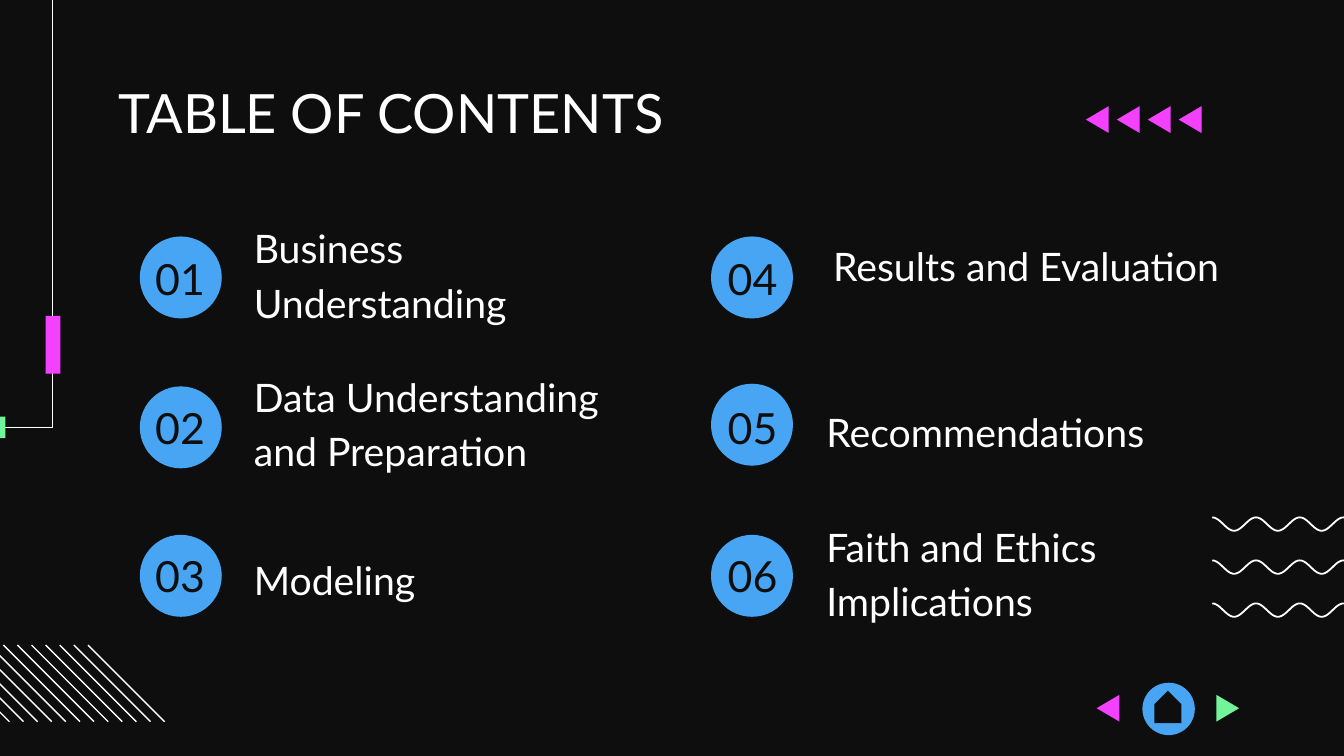
from dataclasses import dataclass
from math import cos, pi

from pptx import Presentation
from pptx.dml.color import RGBColor
from pptx.enum.shapes import MSO_SHAPE as Shape
from pptx.enum.text import MSO_ANCHOR as Anchor, MSO_AUTO_SIZE as AutoSize, PP_ALIGN as Align
from pptx.util import Inches, Pt


@dataclass(frozen=True)
class Theme:
    font: str = "Lato"
    dark: str = "0E0E0E"
    white: str = "FFFFFF"
    blue: str = "47A5F3"
    pink: str = "F341FF"
    green: str = "72F49A"
    title_size: float = 29
    number_size: float = 23
    topic_size: float = 21
    thin_line: float = 0.75
    wave_line: float = 0.95


THEME = Theme()
ARROW = (0.17, 0.2)

# Number, circle offset, topic, topic offset; offsets are from the entry's corner.
ENTRIES = [
    [("01", (0.15, 0.08), "Business Understanding", (0.9, -0.06)),
     ("02", (0.15, 0.09), "Data Understanding and Preparation", (0.9, -0.06)),
     ("03", (0.15, 0.09), "Modeling", (0.9, 0.2))],
    [("04", (0.14, 0.08), "Results and Evaluation", (0.95, 0.07)),
     ("05", (0.14, 0.07), "Recommendations", (0.9, 0.2)),
     ("06", (0.14, 0.09), "Faith and Ethics Implications", (0.9, -0.05))],
]


def color(value):
    return RGBColor.from_string(value)


def paint(shape, fill=None, line=None, width=THEME.thin_line):
    shape.shadow.inherit = False
    if fill:
        shape.fill.solid()
        shape.fill.fore_color.rgb = color(fill)
    else:
        shape.fill.background()
    if line:
        shape.line.color.rgb = color(line)
        shape.line.width = Pt(width)
    else:
        shape.line.fill.background()


def add_preset(slide, kind, left, top, width, height, fill):
    shape = slide.shapes.add_shape(kind, Inches(left), Inches(top), Inches(width), Inches(height))
    paint(shape, fill)
    return shape


def add_outline(slide, points, closed=False, **style):
    start, *rest = [(Inches(x), Inches(y)) for x, y in points]
    builder = slide.shapes.build_freeform(*start)
    builder.add_line_segments(rest, close=closed)
    paint(builder.convert_to_shape(), **style)


def write(shape, text, size, ink, top_inset=0.0, align=Align.LEFT):
    """Format the shape's text frame and write one paragraph in it."""
    frame = shape.text_frame
    frame.word_wrap = True
    frame.auto_size = AutoSize.NONE
    frame.vertical_anchor = Anchor.TOP
    frame.margin_left = frame.margin_right = frame.margin_bottom = Inches(0.1)
    frame.margin_top = Inches(top_inset)
    paragraph = frame.paragraphs[0]
    paragraph.alignment = align
    run = paragraph.add_run()
    run.text = text
    run.font.name = THEME.font
    run.font.size = Pt(size)
    run.font.color.rgb = color(ink)
    return paragraph


def add_text(slide, left, top, width, height, *content, **options):
    box = slide.shapes.add_textbox(Inches(left), Inches(top), Inches(width), Inches(height))
    return write(box, *content, **options)


def add_title(slide, left, top, width, height):
    title = slide.shapes.title
    title.left, title.top = Inches(left), Inches(top)
    title.width, title.height = Inches(width), Inches(height)
    write(title, "TABLE OF CONTENTS", THEME.title_size, THEME.white)


def add_arrow(slide, left, top, fill, points_left=True):
    width, height = ARROW
    base, tip = (left + width, left) if points_left else (left, left + width)
    add_outline(slide, [(base, top), (tip, top + height / 2), (base, top + height)],
                closed=True, fill=fill)


def add_arrow_row(slide, left, top, count=4, step=0.23):
    for index in range(count):
        add_arrow(slide, left + index * step, top, THEME.pink)


def add_waves(slide, left, top, width, height, count=3, gap=0.32, periods=3.5):
    samples = 84
    for row in range(count):
        middle = top + row * gap + height / 2
        points = [(left + width * i / samples,
                   middle - height / 2 * cos(2 * pi * periods * i / samples))
                  for i in range(samples + 1)]
        add_outline(slide, points, line=THEME.white, width=THEME.wave_line)


def add_hatching(slide, left, top, size, count=12, step=0.105):
    for index in range(count):
        x = left + index * step
        add_outline(slide, [(x, top), (x + size, top + size)], line=THEME.white)


def add_corner_frame(slide, left, top, width, height):
    right, bottom = left + width, top + height
    add_outline(slide, [(left, bottom), (right, bottom), (right, top)], line=THEME.white)
    add_preset(slide, Shape.RECTANGLE, right - 0.51, bottom - 0.08, 0.16, 0.16, THEME.green)
    add_preset(slide, Shape.RECTANGLE, right - 0.05, bottom - 0.83, 0.11, 0.43, THEME.pink)


def add_entry(slide, left, top, number, circle_offset, topic, topic_offset):
    circle_x, circle_y = circle_offset
    topic_x, topic_y = topic_offset
    add_preset(slide, Shape.OVAL, left + circle_x, top + circle_y, 0.61, 0.61, THEME.blue)
    add_text(slide, left, top, 0.9, 0.61, number, THEME.number_size, THEME.dark,
             top_inset=0.2, align=Align.CENTER)
    paragraph = add_text(slide, left + topic_x, top + topic_y, 3.16, 0.39,
                         topic, THEME.topic_size, THEME.white)
    paragraph.line_spacing = 1.15
    paragraph.space_after = Pt(12)


def add_contents(slide, left, top, column_step=4.26, row_step=1.105):
    for column, entries in enumerate(ENTRIES):
        for row, entry in enumerate(entries):
            add_entry(slide, left + column * column_step, top + row * row_step, *entry)


def add_navigation(slide, left, top):
    add_arrow(slide, left, top + 0.09, THEME.pink)
    add_preset(slide, Shape.OVAL, left + 0.34, top, 0.39, 0.39, THEME.blue)
    home = add_preset(slide, Shape.PENTAGON, left + 0.41, top + 0.08, 0.24, 0.2, THEME.dark)
    home.rotation = 270
    add_arrow(slide, left + 0.89, top + 0.09, THEME.green, points_left=False)


def main():
    presentation = Presentation()
    presentation.slide_width = Inches(10)
    presentation.slide_height = Inches(10 * 9 / 16)
    slide = presentation.slides.add_slide(presentation.slide_layouts[5])
    slide.background.fill.solid()
    slide.background.fill.fore_color.rgb = color(THEME.dark)

    add_waves(slide, 9.02, 3.85, 1.14, 0.1)
    add_hatching(slide, -0.5, 4.8, 0.57)
    add_corner_frame(slide, -3.93, -0.22, 4.32, 3.4)
    add_title(slide, 0.78, 0.59, 8.44, 0.46)
    add_contents(slide, 0.89, 1.68)
    add_arrow_row(slide, 8.08, 0.79)
    add_navigation(slide, 8.16, 5.08)
    presentation.save("out.pptx")


if __name__ == "__main__":
    main()
